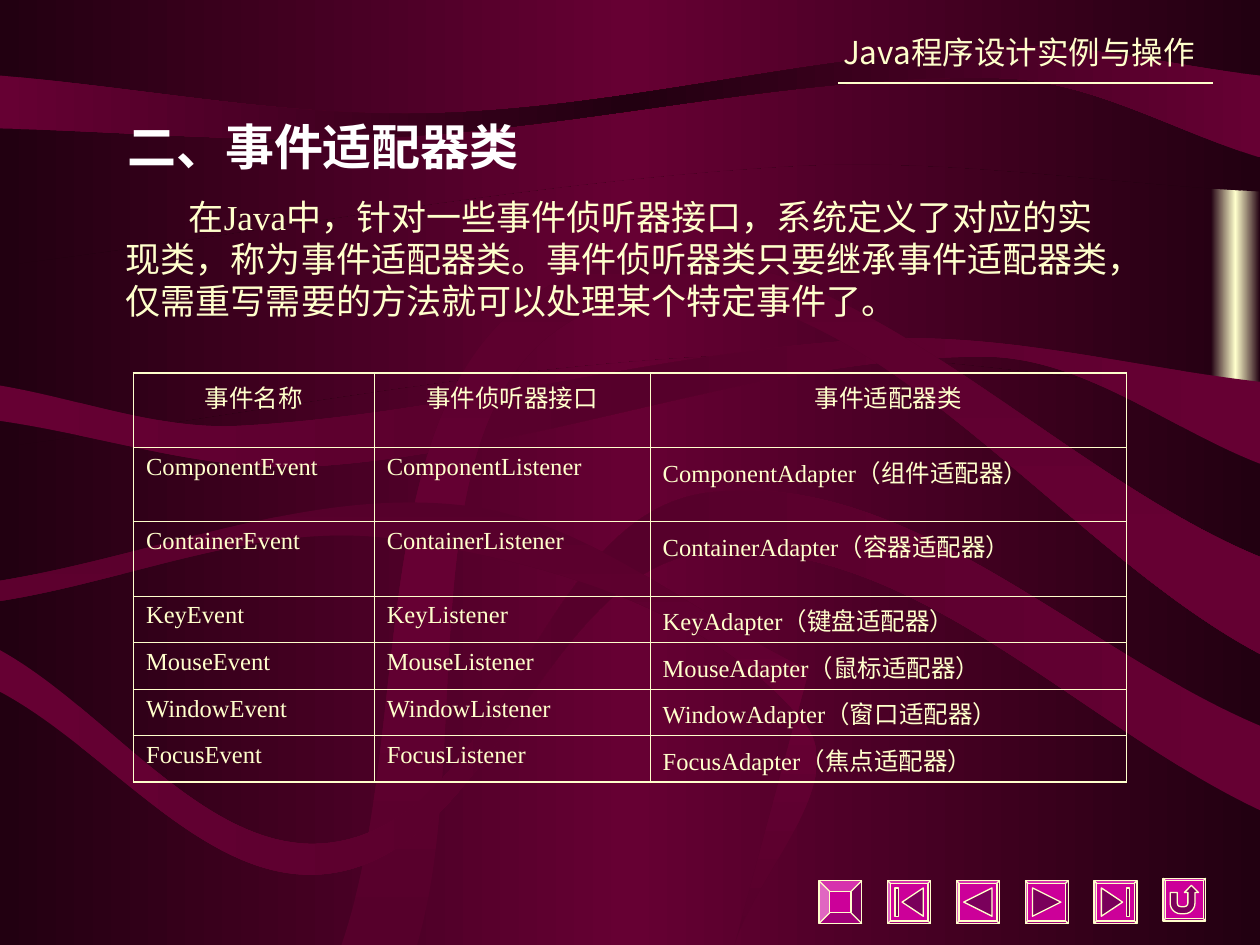
from copy import deepcopy
from math import dist

from lxml.etree import SubElement
from pptx import Presentation
from pptx.dml.color import RGBColor
from pptx.enum.shapes import MSO_CONNECTOR, MSO_SHAPE
from pptx.enum.text import MSO_ANCHOR, PP_ALIGN
from pptx.oxml.ns import qn
from pptx.util import Inches, Pt

COLORS = {"dark": "220011", "wine": "660033", "plum": "56002B",
          "cream": "FFFFCC", "magenta": "CC0099", "white": "FFFFFF"}
SERIF, SANS = "Times New Roman", "Noto Sans CJK SC"

# Edge colour, middle colour, gradient angle, then the two long edges of each
# ribbon; an edge is a smooth curve through its knots.
WAVES = [
    ("dark", "wine", 0, [(0, 0), (10, 0)], [(10, 1.52), (6.25, 1.32), (0, 2.11)]),
    ("dark", "wine", 0, [(0, 3.55), (5.86, 2.82), (10, 3.16)], [(10, 7.5), (0, 7.5)]),
    ("wine", "dark", 0, [(0, 1.02), (3.08, 1.09), (7.94, 0.62), (10, 1.25)],
     [(10, 0.6), (7.92, 0.37), (3.45, 0.9), (0, 0.6)]),
    ("wine", "plum", 0, [(0, 3.34), (2.5, 3.7), (7.8, 2.83), (10, 3.68)],
     [(10, 3.03), (7.01, 2.69), (1.9, 3.38), (0, 3.06)]),
    ("plum", "wine", 90, [(2.71, 7.5), (4.54, 2.18), (10, 4.42)],
     [(10, 5.19), (4.79, 2.43), (3.31, 7.5)]),
    ("wine", "plum", 0, [(0, 5.49), (2.69, 6.92), (5.65, 4.38), (10, 6.43)],
     [(10, 5.76), (5.62, 3.91), (2.73, 6.67), (0, 5.16)]),
    ("plum", "wine", 90, [(0, 4.77), (3.14, 4.28), (6.37, 5.72), (5.83, 7.5)],
     [(6.42, 5.32), (3.66, 4.01), (0, 4.61)]),
]

BODY = ("在Java中，针对一些事件侦听器接口，系统定义了对应的实现类，称为事件适配器类。"
        "事件侦听器类只要继承事件适配器类，仅需重写需要的方法就可以处理某个特定事件了。")
HEADERS = ["事件名称", "事件侦听器接口", "事件适配器类"]
EVENTS = [("Component", "组件"), ("Container", "容器"), ("Key", "键盘"),
          ("Mouse", "鼠标"), ("Window", "窗口"), ("Focus", "焦点")]


def rgb(name):
    return RGBColor.from_string(COLORS[name])


def set_gradient(fill, owner, edge, middle, angle):
    """Fill with a three-stop gradient, the same colour at both ends."""
    fill.gradient()
    fill.gradient_angle = angle
    stops = owner.xpath(".//a:gsLst")[0]
    stops.append(deepcopy(stops[0]))
    for stop, name, pos in zip(fill.gradient_stops, (edge, middle, edge), (0, 0.5, 1)):
        stop.color.rgb = rgb(name)
        stop.position = pos


def add_run(p, text, size, color, font=SERIF, bold=False):
    r = p.add_run()
    r.text = text
    r.font.size, r.font.name, r.font.bold = Pt(size), font, bold
    r.font.color.rgb = rgb(color)


def smooth_segments(knots):
    """Bezier segments whose tangent at a knot is parallel to its neighbours' chord."""
    if len(knots) == 2:
        return [knots[1:]]
    padded = [knots[0], *knots, knots[-1]]
    segments = []
    for before, a, b, after in zip(padded, padded[1:], padded[2:], padded[3:]):
        reach = dist(a, b) / 3
        out, back = reach / dist(before, b), reach / dist(a, after)
        segments.append([(a[0] + out * (b[0] - before[0]), a[1] + out * (b[1] - before[1])),
                         (b[0] - back * (after[0] - a[0]), b[1] - back * (after[1] - a[1])),
                         b])
    return segments


def add_wave(slide, edge, middle, angle, there, back):
    segments = smooth_segments(there) + [back[:1]] + smooth_segments(back)
    points = [(Inches(x), Inches(y)) for seg in segments for x, y in seg]
    builder = slide.shapes.build_freeform(*map(Inches, there[0]))
    builder.add_line_segments(points, close=True)
    sp = builder.convert_to_shape()
    lines = iter(sp._element.xpath(".//a:path/a:lnTo"))
    for seg in segments:
        first, *others = [next(lines) for _ in seg]
        if others:
            curve = first.makeelement(qn("a:cubicBezTo"))
            first.addprevious(curve)
            for line in (first, *others):
                curve.append(line[0])
                line.getparent().remove(line)
    set_gradient(sp.fill, sp._element, edge, middle, angle)
    sp.line.fill.background()
    sp.shadow.inherit = False


def add_backdrop(slide):
    set_gradient(slide.background.fill, slide._element, "dark", "wine", 0)
    band = slide.shapes.add_shape(MSO_SHAPE.RECTANGLE, Inches(9.61), Inches(0.49),
                                  Inches(0.39), Inches(3.45))
    set_gradient(band.fill, band._element, "dark", "cream", 0)
    band.line.fill.background()
    band.shadow.inherit = False
    for wave in WAVES:
        add_wave(slide, *wave)


def add_button_part(slide, kind, left, top, size):
    sp = slide.shapes.add_shape(kind, Inches(left), Inches(top), Inches(size), Inches(size))
    sp.fill.solid()
    sp.fill.fore_color.rgb = rgb("magenta")
    sp.line.color.rgb = rgb("cream")
    sp.line.width = Pt(0.75)
    sp.shadow.inherit = False
    return sp


def add_buttons(slide, left, top, right, size=0.34, rim=0.02):
    """Row of bevelled buttons; the first one is blank."""
    icons = [None, MSO_SHAPE.ACTION_BUTTON_BEGINNING, MSO_SHAPE.ACTION_BUTTON_BACK_OR_PREVIOUS,
             MSO_SHAPE.ACTION_BUTTON_FORWARD_OR_NEXT, MSO_SHAPE.ACTION_BUTTON_END,
             MSO_SHAPE.ACTION_BUTTON_RETURN]
    pitch = (right - left) / (len(icons) - 1)
    for i, icon in enumerate(icons):
        x = left + i * pitch
        y = top - rim if icon == MSO_SHAPE.ACTION_BUTTON_RETURN else top
        bevel = add_button_part(slide, MSO_SHAPE.BEVEL, x, y, size)
        bevel.adjustments[0] = rim / size if icon else 0.25
        if icon:
            add_button_part(slide, icon, x + rim, y + rim, size - 2 * rim)


def add_text_box(slide, left, top, width, height):
    tf = slide.shapes.add_textbox(Inches(left), Inches(top), Inches(width),
                                  Inches(height)).text_frame
    tf.word_wrap = True
    return tf.paragraphs[0]


def add_header(slide, left, top, width, height):
    rule = slide.shapes.add_connector(MSO_CONNECTOR.STRAIGHT, Inches(6.65), Inches(0.66),
                                      Inches(9.63), Inches(0.66))
    rule.line.color.rgb = rgb("cream")
    rule.line.width = Pt(0.75)
    SubElement(rule._element.spPr, qn("a:effectLst"))
    p = add_text_box(slide, left, top, width, height)
    p.alignment = PP_ALIGN.RIGHT
    add_run(p, "Java程序设计实例与操作", 18, "cream", SANS)


def place_title(slide, left, top, width, height):
    title = slide.shapes.title
    slide.shapes._spTree.append(title._element)
    title.left, title.top = Inches(left), Inches(top)
    title.width, title.height = Inches(width), Inches(height)
    title.text_frame.vertical_anchor = MSO_ANCHOR.MIDDLE
    p = title.text_frame.paragraphs[0]
    p.alignment = PP_ALIGN.LEFT
    add_run(p, "二、事件适配器类", 28, "white", bold=True)


def add_body(slide, left, top, width, height):
    p = add_text_box(slide, left, top, width, height)
    p.line_spacing = Pt(24)
    p._p.get_or_add_pPr().set("indent", str(Inches(0.5)))
    add_run(p, BODY, 20, "cream")


def set_border(cell, side, width):
    ln = SubElement(cell._tc.get_or_add_tcPr(), qn(f"a:ln{side}"), w=str(Pt(width)))
    SubElement(SubElement(ln, qn("a:solidFill")), qn("a:srgbClr"), val=COLORS["cream"])


def add_event_table(slide, left, top, width, height):
    rows = [HEADERS] + [(f"{name}Event", f"{name}Listener", f"{name}Adapter（{label}适配器）")
                        for name, label in EVENTS]
    last_row, last_col = len(rows) - 1, len(HEADERS) - 1
    table = slide.shapes.add_table(len(rows), len(HEADERS), Inches(left), Inches(top),
                                   Inches(width), Inches(height)).table
    table.first_row = table.horz_banding = False
    for col, w in zip(table.columns, (1.91, 2.19, 3.78)):
        col.width = Inches(w)
    for i, row in enumerate(rows):
        table.rows[i].height = Inches(0.59 if i < 3 else 0.37)
        for j, text in enumerate(row):
            cell = table.cell(i, j)
            outer = {"L": j == 0, "R": j == last_col, "T": i == 0, "B": i == last_row}
            for side, is_outer in outer.items():
                set_border(cell, side, 1.08 if is_outer else 0.45)
            cell.fill.background()
            p = cell.text_frame.paragraphs[0]
            p.alignment = PP_ALIGN.CENTER if i == 0 else PP_ALIGN.LEFT
            add_run(p, text, 14, "cream")


def main():
    prs = Presentation()
    prs.slide_width, prs.slide_height = Inches(10), Inches(7.5)
    slide = prs.slides.add_slide(prs.slide_layouts[5])
    add_backdrop(slide)
    add_buttons(slide, 6.5, 6.99, 9.23)
    add_header(slide, 6.02, 0.21, 3.56, 0.4)
    place_title(slide, 0.91, 0.84, 8.11, 0.63)
    add_body(slide, 0.9, 1.5, 8.11, 1.1)
    add_event_table(slide, 1.06, 2.96, 7.88, 3.23)
    prs.save("out.pptx")


if __name__ == "__main__":
    main()
